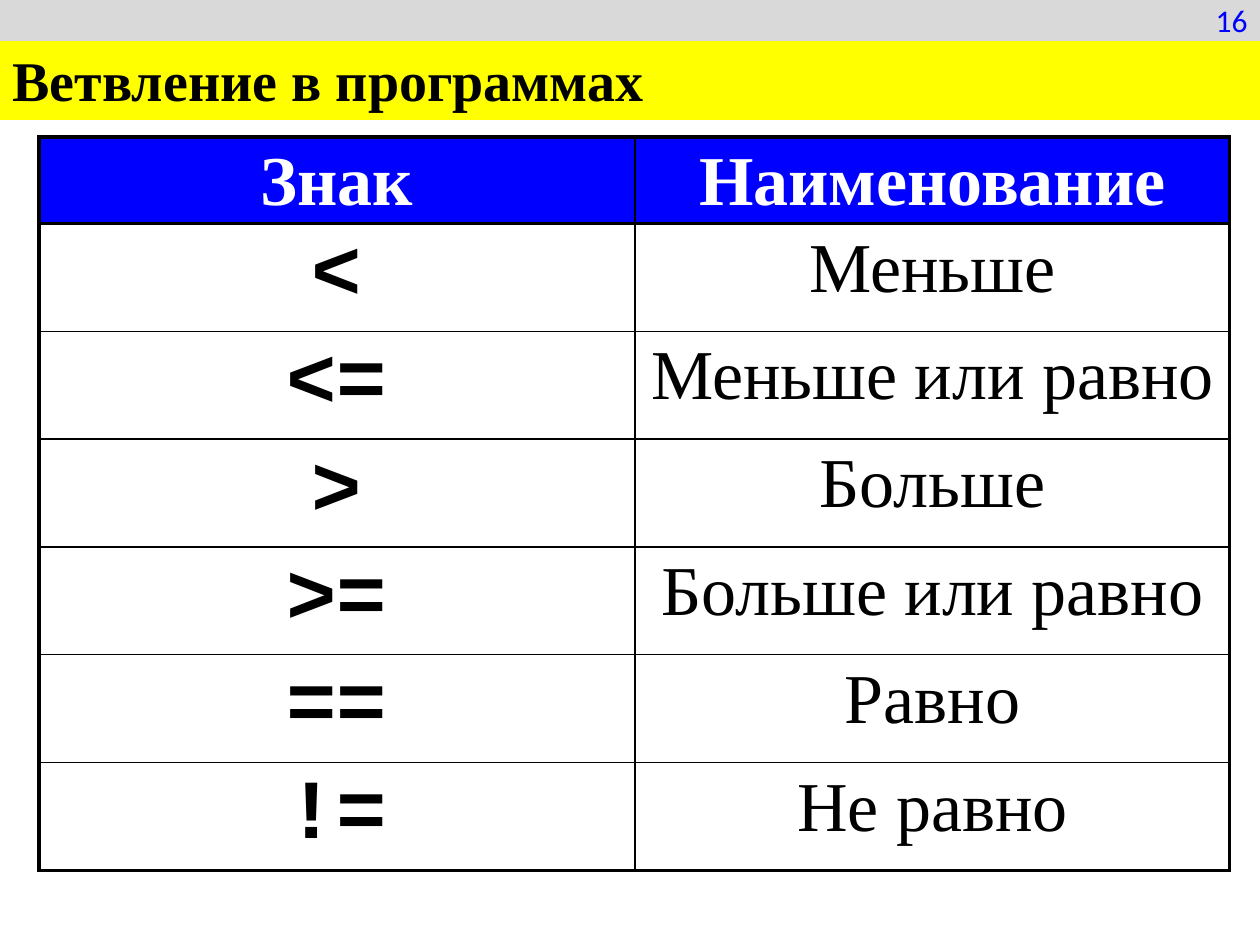
from pptx import Presentation
from pptx.dml.color import RGBColor
from pptx.enum.shapes import MSO_SHAPE
from pptx.enum.text import MSO_ANCHOR, PP_ALIGN
from pptx.oxml import parse_xml
from pptx.oxml.ns import nsdecls
from pptx.util import Pt

SCALE = 914400 // 126  # EMU per px
BLACK = RGBColor(0x00, 0x00, 0x00)
WHITE = RGBColor(0xFF, 0xFF, 0xFF)
BLUE = RGBColor(0x00, 0x00, 0xFF)
YELLOW = RGBColor(0xFF, 0xFF, 0x00)
GREY = RGBColor(0xD9, 0xD9, 0xD9)
SERIF, MONO = "Times New Roman", "Courier New"


def px(n):
    return n * SCALE


def add_run(p, text, size, font, color, bold=False):
    r = p.add_run()
    r.text = text
    r.font.size = Pt(size)
    r.font.name = font
    r.font.bold = bold
    r.font.color.rgb = color


prs = Presentation()
prs.slide_width, prs.slide_height = px(1260), px(945)
s = prs.slides.add_slide(prs.slide_layouts[5])

# Grey strip with the slide number
sp = s.shapes.add_shape(MSO_SHAPE.RECTANGLE, 0, 0, px(1260), px(39))
sp.shadow.inherit = False
sp.fill.solid()
sp.fill.fore_color.rgb = GREY
sp.line.color.rgb = GREY
sp.line.width = Pt(2)
tf = sp.text_frame
tf.vertical_anchor = MSO_ANCHOR.MIDDLE
p = tf.paragraphs[0]
p.alignment = PP_ALIGN.RIGHT
add_run(p, "16", 18, "Calibri", BLUE)

# Title band
title = s.shapes.title
title.left, title.top, title.width, title.height = 0, px(39), px(1260), px(81)
title.fill.solid()
title.fill.fore_color.rgb = YELLOW
tf = title.text_frame
tf.vertical_anchor = MSO_ANCHOR.MIDDLE
p = tf.paragraphs[0]
p.alignment = PP_ALIGN.LEFT
add_run(p, "Ветвление в программах", 32, SERIF, BLACK, bold=True)

# Table of comparison signs
rows = [
    ("Знак", "Наименование"),
    ("<", "Меньше"),
    ("<=", "Меньше или равно"),
    (">", "Больше"),
    (">=", "Больше или равно"),
    ("==", "Равно"),
    ("!=", "Не равно"),
]
last = len(rows) - 1
frame = s.shapes.add_table(len(rows), 2, px(39), px(137), px(1191), px(777))
table = frame.table
table.first_row = table.horz_banding = False
table.columns[0].width, table.columns[1].width = px(596), px(595)

for i, row in enumerate(rows):
    head = i == 0
    table.rows[i].height = px(68 if head else 86)
    for j, text in enumerate(row):
        cell = table.cell(i, j)
        if head:
            cell.margin_top, cell.margin_bottom = px(6), px(3)
        p = cell.text_frame.paragraphs[0]
        p.alignment = PP_ALIGN.CENTER
        sign = j == 0 and not head
        add_run(p, text, 48 if sign else 40, MONO if sign else SERIF,
                WHITE if head else BLACK, bold=head or sign)

        # Thick outer frame and header rule, thin inner lines
        thick = {"L": j == 0, "R": j == 1, "T": i < 2, "B": head or i == last}
        tcPr = cell._tc.get_or_add_tcPr()
        for side, is_thick in thick.items():
            tcPr.append(parse_xml(
                f'<a:ln{side} {nsdecls("a")} w="{Pt(2 if is_thick else 1)}">'
                f'<a:solidFill><a:srgbClr val="{BLACK}"/></a:solidFill>'
                f'</a:ln{side}>'))
        cell.fill.solid()
        cell.fill.fore_color.rgb = BLUE if head else WHITE
frame.height = px(777)

prs.save("out.pptx")
